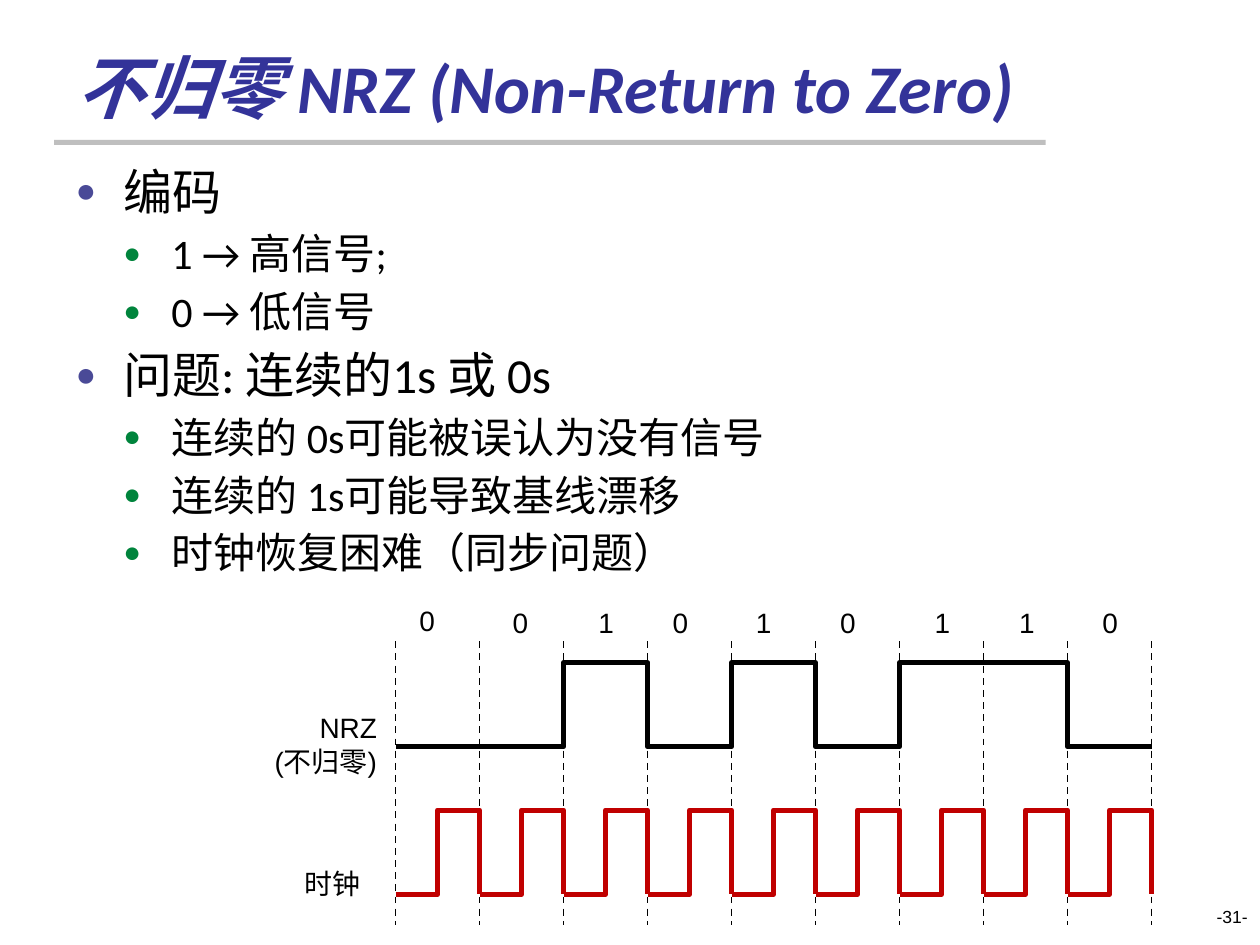
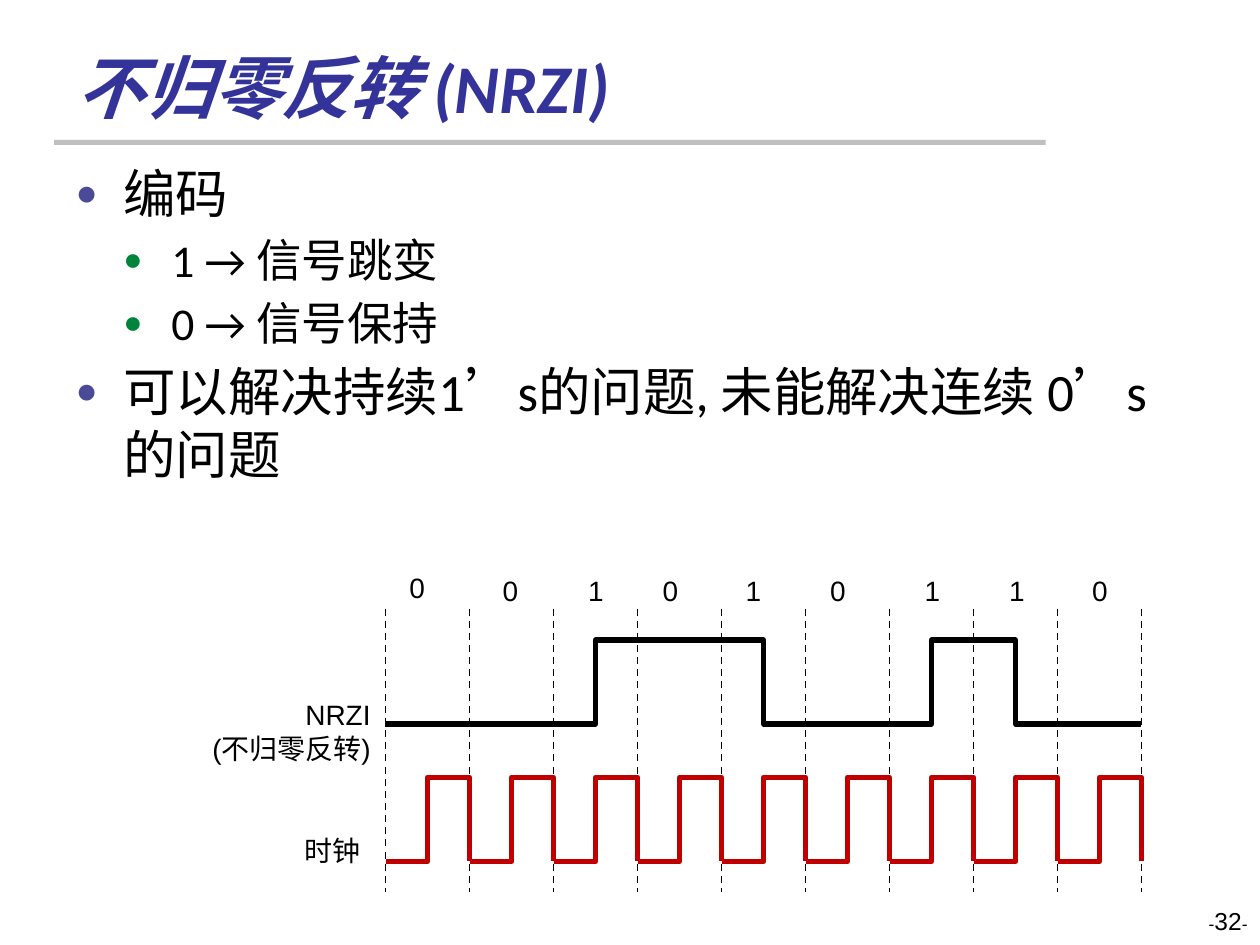
"""Build two slides on the NRZ and NRZI line codes, each with a signal chart."""
from lxml.etree import SubElement
from pptx import Presentation
from pptx.dml.color import RGBColor
from pptx.enum.dml import MSO_LINE
from pptx.enum.shapes import MSO_CONNECTOR, MSO_SHAPE
from pptx.enum.text import MSO_ANCHOR, MSO_AUTO_SIZE, PP_ALIGN
from pptx.oxml.ns import qn
from pptx.util import Inches, Pt

BLACK = RGBColor(0x00, 0x00, 0x00)
NAVY = RGBColor(0x33, 0x33, 0x99)
GREY = RGBColor(0xBF, 0xBF, 0xBF)
RED = RGBColor(0xC0, 0x00, 0x00)
VIOLET = RGBColor(0x4A, 0x4A, 0x97)
GREEN = RGBColor(0x00, 0x84, 0x3C)

BITS = [0, 0, 1, 0, 1, 0, 1, 1, 0]
SHIFTS = [0.09, 0.83, 1.51, 2.1, 2.76, 3.43, 4.18, 4.85, 5.51]
STEP = 2 / 3

DECK = [
    {
        "title": "不归零 NRZ (Non-Return to Zero)",
        "sizes": (28, 24),
        "items": [
            (0, "编码"),
            (1, "1 → 高信号;"),
            (1, "0 → 低信号"),
            (0, "问题: 连续的1s 或 0s"),
            (1, "连续的 0s可能被误认为没有信号"),
            (1, "连续的 1s可能导致基线漂移"),
            (1, "时钟恢复困难（同步问题）"),
        ],
        "page": [("-31-", 10)],
        "left": 3.14,
        "top": 4.74,
        "high": 5.26,
        "edges": [i for i in range(1, 9) if BITS[i] != BITS[i - 1]],
        "label": ["NRZ", "(不归零)"],
        "spot": (2.08, 5.59, 1.01),
    },
    {
        "title": "不归零反转 (NRZI)",
        "sizes": (30, 26),
        "items": [
            (0, "编码"),
            (1, "1 → 信号跳变"),
            (1, "0 → 信号保持"),
            (0, "可以解决持续1’s的问题, 未能解决连续 0’s的问题"),
        ],
        "page": [("-", 10), ("32", 14), ("-", 10)],
        "left": 3.06,
        "top": 4.48,
        "high": 5.08,
        "edges": [i + 0.5 for i in range(9) if BITS[i]],
        "label": ["NRZI", "(不归零反转)"],
        "spot": (1.58, 5.49, 1.46),
    },
]


def write(frame, text, size=16, face="Arial", color=BLACK, bold=False,
          align=PP_ALIGN.CENTER, join=False):
    """Add text to the frame, in a new paragraph unless join is set."""
    para = frame.paragraphs[-1]
    if para.runs and not join:
        para = frame.add_paragraph()
    para.alignment = align
    run = para.add_run()
    run.text = text
    font = run.font
    font.size, font.name = Pt(size), face
    font.bold = font.italic = bold
    font.color.rgb = color
    return para


def trace(slide, points, color):
    """Draw an open path through points given in inches."""
    spots = [(Inches(x), Inches(y)) for x, y in points]
    pen = slide.shapes.build_freeform(*spots[0])
    pen.add_line_segments(spots[1:], close=False)
    wave = pen.convert_to_shape()
    wave.shadow.inherit = False
    wave.fill.background()
    wave.line.color.rgb = color
    wave.line.width = Pt(3)


deck = Presentation()
deck.slide_width, deck.slide_height = Inches(10), Inches(7.5)
layout = deck.slide_layouts[1]
areas = [(0.51, 0.28, 8.66, 0.78), (0.5, 1.23, 9, 5.83)]

for page in DECK:
    slide = deck.slides.add_slide(layout)
    shapes = slide.shapes
    left, top, high = page["left"], page["top"], page["high"]

    rule = shapes.add_shape(MSO_SHAPE.RECTANGLE, Inches(0.43), Inches(1.11),
                            Inches(7.87), Inches(0.04))
    rule.shadow.inherit = False
    rule.fill.solid()
    rule.fill.fore_color.rgb = GREY
    rule.line.fill.background()

    for holder, area in zip(slide.placeholders, areas):
        holder.left, holder.top, holder.width, holder.height = map(Inches, area)
        holder.text_frame.auto_size = MSO_AUTO_SIZE.NONE
    title, body = [holder.text_frame for holder in slide.placeholders]
    title.vertical_anchor = MSO_ANCHOR.BOTTOM
    write(title, page["title"], size=39, face="Calibri", color=NAVY,
          bold=True, align=PP_ALIGN.LEFT)

    for row, (level, text) in enumerate(page["items"]):
        size = page["sizes"][level]
        para = write(body, text, size=size, face="Calibri", align=PP_ALIGN.LEFT)
        para.level = level
        para.space_before = Pt(round(size * 0.18, 1) if row else 0)
        props = para._p.get_or_add_pPr()
        props.set("marL", str(Inches(0.38 * (level + 1))))
        props.set("indent", str(Inches(-0.38)))
        tint = SubElement(props, qn("a:buClr"))
        SubElement(tint, qn("a:srgbClr"), val=str((VIOLET, GREEN)[level]))
        SubElement(props, qn("a:buSzPct"), val="70000")
        SubElement(props, qn("a:buFont"), typeface="Arial")
        SubElement(props, qn("a:buChar"), char="●")

    number = shapes.add_textbox(Inches(7.67), Inches(7.14), Inches(2.33), Inches(0.5))
    number.text_frame.word_wrap = True
    for text, size in page["page"]:
        write(number.text_frame, text, size=size, align=PP_ALIGN.RIGHT, join=True)

    marks = [(left + shift, top + (0.02 if i else 0), str(bit))
             for i, (shift, bit) in enumerate(zip(SHIFTS, BITS))]
    marks.append((2.32, top + 2.09, "时钟"))
    for x, y, text in marks:
        wide = 0.32 * len(text)
        box = shapes.add_textbox(Inches(x), Inches(y), Inches(wide), Inches(0.36))
        box.text_frame.word_wrap = False
        write(box.text_frame, text)

    for i in range(len(BITS) + 1):
        x = Inches(left + i * STEP)
        line = shapes.add_connector(MSO_CONNECTOR.STRAIGHT, x, Inches(top + 0.35),
                                    x, Inches(top + 2.6))
        line.line.color.rgb = BLACK
        line.line.width = Pt(1)
        line.line.dash_style = MSO_LINE.DASH
        SubElement(line._element.spPr, qn("a:effectLst"))

    low = high + STEP
    points = [(left, low)]
    for i, edge in enumerate(page["edges"]):
        x = left + edge * STEP
        ends = (high, low) if i % 2 else (low, high)
        points += [(x, y) for y in ends]
    points.append((left + len(BITS) * STEP, low))
    trace(slide, points, BLACK)

    x, y, wide = page["spot"]
    label = shapes.add_textbox(Inches(x), Inches(y), Inches(wide), Inches(0.63))
    label.text_frame.word_wrap = True
    for text in page["label"]:
        write(label.text_frame, text, align=PP_ALIGN.RIGHT)

    peak = top + 1.69
    base = peak + STEP
    for i in range(len(BITS)):
        x = left + i * STEP
        mid, end = x + STEP / 2, x + STEP
        trace(slide, [(x, base), (mid, base), (mid, peak), (end, peak), (end, base)], RED)

deck.save("out.pptx")
